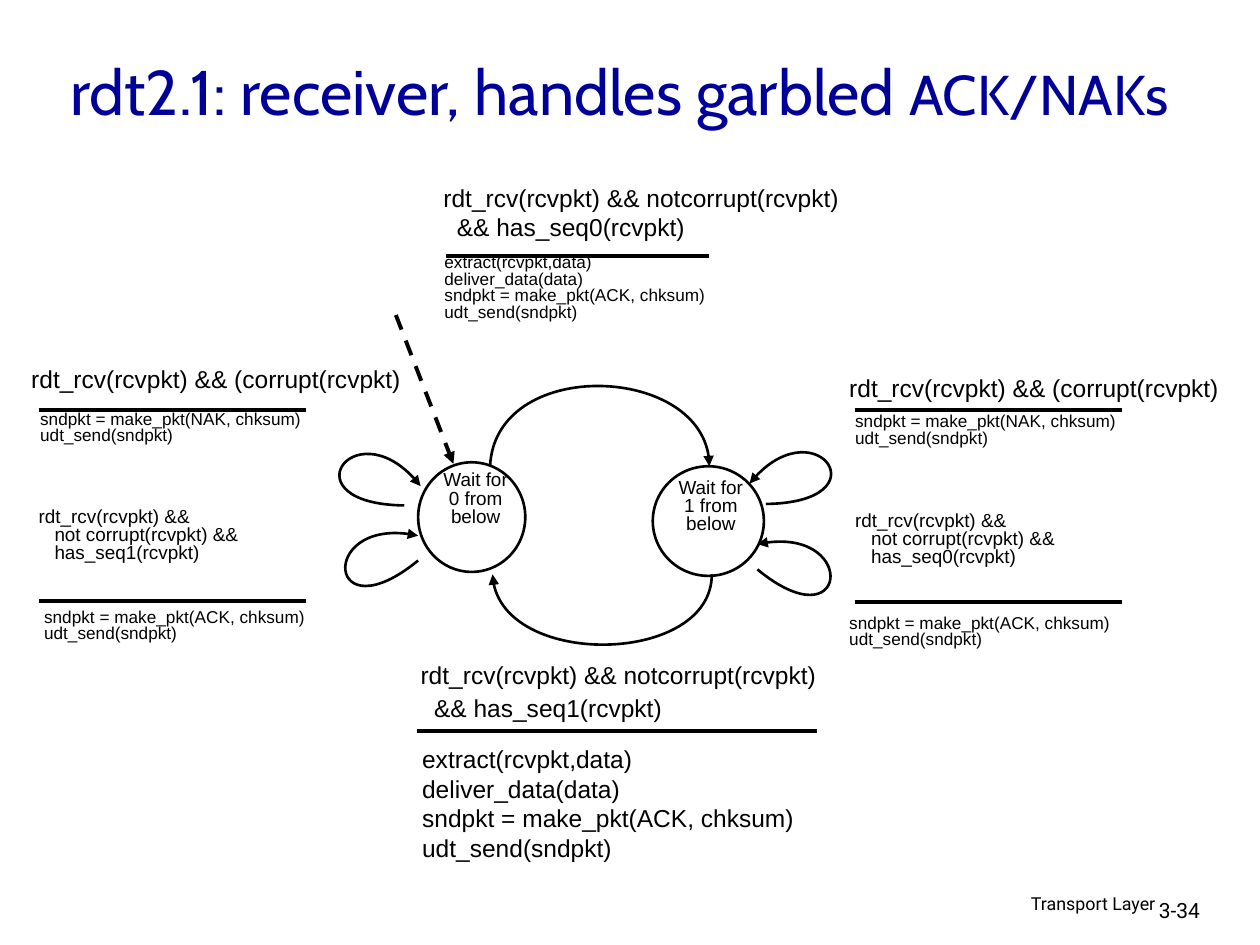
from lxml.etree import SubElement
from pptx import Presentation
from pptx.dml.color import RGBColor
from pptx.enum.dml import MSO_LINE_DASH_STYLE as Dash
from pptx.enum.shapes import MSO_CONNECTOR as Connector, MSO_SHAPE as Shape
from pptx.enum.text import MSO_ANCHOR as Anchor, PP_ALIGN as Align
from pptx.oxml.ns import qn
from pptx.util import Cm, Pt

BLACK, WHITE, NAVY = "000000", "FFFFFF", "000099"


def color(value):
    return RGBColor.from_string(value)


def add_text(shapes, box, lines, size=14, font="Arial", fill=BLACK,
             align=Align.LEFT, anchor=Anchor.TOP, spacing=None, indent=0, gap=0):
    """Each line is a string or a list of (text, size) runs; indent and gap
    apply to every line after the first."""
    tb = shapes.add_textbox(*map(Cm, box))
    tf = tb.text_frame
    tf.word_wrap = True
    tf.vertical_anchor = anchor
    for i, line in enumerate(lines):
        p = tf.paragraphs[0] if i == 0 else tf.add_paragraph()
        p.alignment = align
        if spacing:
            p.line_spacing = spacing
        if i and indent:
            p._p.get_or_add_pPr().set("marL", str(Cm(indent)))
        if i and gap:
            p.space_before = Pt(gap)
        for text, run_size in [(line, size)] if isinstance(line, str) else line:
            r = p.add_run()
            r.text = text
            r.font.size = Pt(run_size)
            r.font.name = font
            r.font.color.rgb = color(fill)
    return tb


def style_line(line, width, arrow=False, dash=None):
    line.color.rgb = color(BLACK)
    line.width = Pt(width)
    if dash:
        line.dash_style = dash
    if arrow:
        SubElement(line._get_or_add_ln(), qn("a:tailEnd"), type="triangle")


def add_line(shapes, x1, y1, x2, y2, **style):
    c = shapes.add_connector(Connector.STRAIGHT, Cm(x1), Cm(y1), Cm(x2), Cm(y2))
    style_line(c.line, 2.25, **style)
    SubElement(c._element.spPr, qn("a:effectLst"))


def add_curve(shapes, start, *controls):
    """Cubic Bezier arrow through a start, two control points and an end."""
    builder = shapes.build_freeform(Cm(start[0]), Cm(start[1]))
    builder.add_line_segments([(Cm(x), Cm(y)) for x, y in controls], close=False)
    sp = builder.convert_to_shape()
    sp.fill.background()
    sp.shadow.inherit = False
    style_line(sp.line, 1.5, arrow=True)
    # Turn the three straight segments into one Bezier segment
    segments = list(sp._element.iter(qn("a:lnTo")))
    bezier = SubElement(segments[0].getparent(), qn("a:cubicBezTo"))
    for segment in segments:
        bezier.append(segment[0])
        segment.getparent().remove(segment)


def add_state(slide, x, y, w, h, number, text_dx, text_dy):
    group = slide.shapes.add_group_shape()
    sp = group.shapes.add_shape(Shape.OVAL, Cm(x), Cm(y), Cm(w), Cm(h))
    sp.shadow.inherit = False
    sp.fill.solid()
    sp.fill.fore_color.rgb = color(WHITE)
    style_line(sp.line, 1.5)
    add_text(group.shapes, (x + text_dx, y + text_dy, 2.22, 1.7),
             ["Wait for", f"{number} from below"],
             size=10.8, align=Align.CENTER, spacing=0.8)


def add_transition(slide, x, y, rule, event, event_box, event_style,
                   actions, action_box, action_style):
    """Event above a rule and actions below it; boxes are offset from (x, y)."""
    for lines, (dx, dy, w, h), style in ((event, event_box, event_style),
                                         (actions, action_box, action_style)):
        add_text(slide.shapes, (x + dx, y + dy, w, h), lines, **style)
    add_line(slide.shapes, x, y, x + rule, y)


LARGE = dict(size=14, indent=0.27)
MEDIUM = dict(size=10.8, spacing=0.8, indent=0.32)
SMALL = dict(size=9.8, spacing=0.8)
PLAIN = dict(size=14)


def send(reply):
    return [f"sndpkt = make_pkt({reply}, chksum)", "udt_send(sndpkt)"]


def add_accept(slide, x, y, rule, seq, event_box, gap, action_box, action_style):
    """Transition for an intact packet with the expected number."""
    event = ["rdt_rcv(rcvpkt) && notcorrupt(rcvpkt)", f"&& has_seq{seq}(rcvpkt)"]
    add_transition(slide, x, y, rule, event, event_box, dict(LARGE, gap=gap),
                   ["extract(rcvpkt,data)", "deliver_data(data)", *send("ACK")],
                   action_box, action_style)


def add_self_loops(slide, x, seq, nak_event, nak_action,
                   ack_y, ack_event, ack_action):
    """Labels of the corrupt and duplicate loops beside one state."""
    add_transition(slide, x, 8.26, 5.38, ["rdt_rcv(rcvpkt) && (corrupt(rcvpkt)"],
                   (*nak_event, 7.98, 1.7), PLAIN,
                   send("NAK"), (*nak_action, 8.41, 1.14), SMALL)
    duplicate = ["rdt_rcv(rcvpkt) &&", "not corrupt(rcvpkt) &&", f"has_seq{seq}(rcvpkt)"]
    add_transition(slide, x, ack_y, 5.38, duplicate,
                   (*ack_event, 7.29, 1.7), MEDIUM,
                   send("ACK"), (*ack_action, 8.18, 1.14), SMALL)


def add_machine(slide):
    shapes = slide.shapes
    add_state(slide, 8.43, 9.32, 2.16, 2.21, 0, 0.05, 0.08)
    add_state(slide, 13.16, 9.4, 2.24, 2.21, 1, 0.06, 0.15)
    # Initial arrow
    add_line(shapes, 7.98, 6.35, 9.14, 9.35, arrow=True, dash=Dash.DASH)
    # Arcs between the states
    add_curve(shapes, (9.88, 9.4), (9.98, 7.21), (14.3, 7.34), (14.3, 9.4))
    add_curve(shapes, (14.35, 11.58), (14.35, 13.39), (10.01, 13.49), (9.93, 11.58))
    # Loops of the right state, then of the left state
    add_curve(shapes, (15.44, 10.16), (17.81, 10.13), (16.41, 8.13), (15.11, 9.75))
    add_curve(shapes, (15.27, 11.48), (17.09, 12.98), (17.32, 10.54), (15.27, 10.97))
    add_curve(shapes, (8.15, 10.19), (5.79, 10.16), (7.19, 8.15), (8.48, 9.8))
    add_curve(shapes, (8.43, 11.3), (6.6, 12.8), (6.4, 10.36), (8.43, 10.8))


def add_footer(slide, x, y):
    add_text(slide.shapes, (x, y, 8.05, 0.79), ["Transport Layer"],
             size=10.2, font="Roboto", align=Align.RIGHT, spacing=0.9)
    add_text(slide.shapes, (x + 7.62, y + 0.05, 1.88, 0.76), ["3-34"],
             size=12, font="Roboto")


def main():
    prs = Presentation()
    prs.slide_width, prs.slide_height = Cm(25.4), Cm(19.05)
    slide = prs.slides.add_slide(prs.slide_layouts[6])

    # Title
    add_text(slide.shapes, (1.17, 0.51, 23.11, 2.62),
             [[("rdt2.1: receiver, handles garbled ", 36), ("ACK/NAKs", 32)]],
             font="Cabin", fill=NAVY, anchor=Anchor.MIDDLE)

    add_machine(slide)

    # Transitions between the states: above and below
    add_accept(slide, 8.99, 5.16, 5.31, 0, (-0.3, -1.6, 11.05, 1.6), 0,
               (-0.28, -0.13, 9.65, 1.96), SMALL)
    add_accept(slide, 8.41, 14.73, 8.05, 1, (-0.18, -1.55, 9.96, 1.57), 1.8,
               (-0.15, 0.15, 10.69, 2.77), PLAIN)

    # Loops: left and right
    add_self_loops(slide, 0.78, 1, (-0.4, -1.05), (-0.22, -0.08),
                   12.12, (-0.25, -1.99), (-0.14, 0.05))
    add_self_loops(slide, 17.23, 0, (-0.36, -0.87), (-0.24, -0.03),
                   12.14, (-0.24, -1.93), (-0.36, 0.15))

    add_footer(slide, 15.49, 17.91)
    prs.save("out.pptx")


if __name__ == "__main__":
    main()
